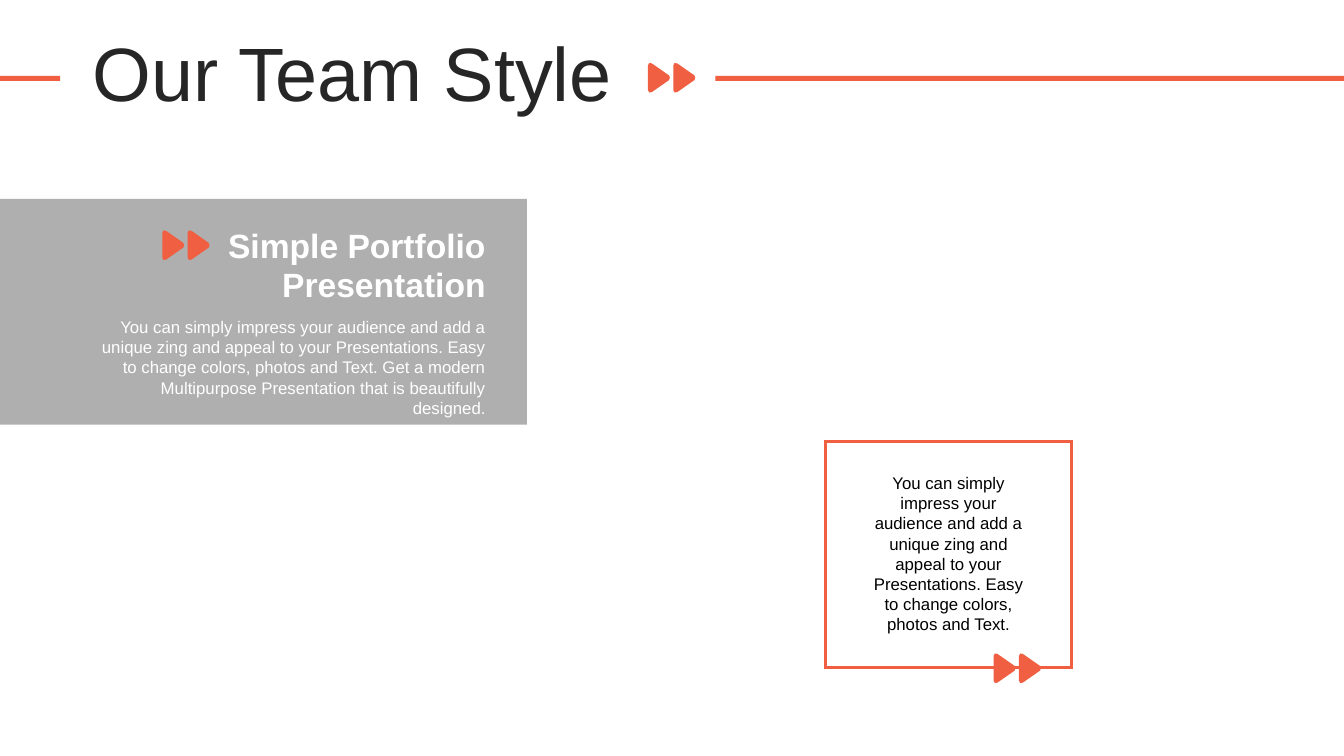
import lxml.etree
import pptx
import pptx.dml.color
import pptx.enum.shapes
import pptx.enum.text
import pptx.oxml.ns
import pptx.util

Cm = pptx.util.Cm
Pt = pptx.util.Pt
qn = pptx.oxml.ns.qn
ALIGN = pptx.enum.text.PP_ALIGN
ANCHOR = pptx.enum.text.MSO_ANCHOR
AUTO_SIZE = pptx.enum.text.MSO_AUTO_SIZE

ORANGE = "F05F41"
GRAY = "AFAFAF"
WHITE = "FFFFFF"
BLACK = "000000"
CHARCOAL = "262626"

# Rounded triangle in cm: each corner is a cubic curve, joined by straight sides
TRIANGLE_CORNERS = [
    [(0.10, 0.74), (0.05, 0.78), (0, 0.75), (0, 0.69)],
    [(0, 0.07), (0, 0.01), (0.05, -0.02), (0.10, 0.02)],
    [(0.53, 0.32), (0.56, 0.34), (0.56, 0.42), (0.53, 0.44)],
]
TRIANGLE_STEP = 0.64


def color(value):
    return pptx.dml.color.RGBColor.from_string(value)


def paint(shape, fill=None, line=None):
    shape.shadow.inherit = False
    if fill:
        shape.fill.solid()
        shape.fill.fore_color.rgb = color(fill)
    else:
        shape.fill.background()
    if line:
        shape.line.color.rgb = color(line)
        shape.line.width = Pt(2)
        # Square corners on the outline
        outline = shape.element.spPr.find(qn("a:ln"))
        lxml.etree.SubElement(outline, qn("a:miter")).set("lim", "800000")
    else:
        shape.line.fill.background()


def add_rectangle(page, left, top, width, height, fill=None, line=None):
    box = page.shapes.add_shape(
        pptx.enum.shapes.MSO_SHAPE.RECTANGLE, Cm(left), Cm(top), Cm(width), Cm(height))
    paint(box, fill, line)


def round_corners(shape):
    """Turn the three segments of each corner into one cubic curve."""
    segments = list(shape.element.iter(qn("a:lnTo")))
    for start in range(0, len(segments), 4):
        first, *others = segments[start:start + 3]
        curve = lxml.etree.Element(qn("a:cubicBezTo"))
        first.addprevious(curve)
        for segment in (first, *others):
            curve.append(segment[0])
            segment.getparent().remove(segment)


def add_double_arrow(page, left, top):
    """Two rounded triangles side by side, pointing right."""
    group = page.shapes.add_group_shape()
    for index in range(2):
        points = [(Cm(left + index * TRIANGLE_STEP + x), Cm(top + y))
                  for corner in TRIANGLE_CORNERS for x, y in corner]
        builder = group.shapes.build_freeform(*points[0])
        builder.add_line_segments(points[1:], close=True)
        triangle = builder.convert_to_shape()
        round_corners(triangle)
        paint(triangle, ORANGE)


def add_text(page, left, top, width, height, lines, size, ink, align=ALIGN.LEFT,
             bold=False, anchor=ANCHOR.TOP, line_spacing=None, gap=0, grow=False):
    box = page.shapes.add_textbox(Cm(left), Cm(top), Cm(width), Cm(height))
    frame = box.text_frame
    frame.word_wrap = True
    frame.vertical_anchor = anchor
    frame.auto_size = AUTO_SIZE.SHAPE_TO_FIT_TEXT if grow else AUTO_SIZE.NONE
    frame.text = "\n".join(lines)
    for index, para in enumerate(frame.paragraphs):
        para.alignment = align
        para.line_spacing = line_spacing
        if index:
            para.space_before = Pt(gap)
        for span in para.runs:
            span.font.name = "Arial"
            span.font.size = Pt(size)
            span.font.bold = bold
            span.font.color.rgb = color(ink)


def main():
    deck = pptx.Presentation()
    deck.slide_width = Cm(33.87)
    deck.slide_height = Cm(19.05)
    page = deck.slides.add_slide(deck.slide_layouts[6])

    # Title band
    add_double_arrow(page, 16.33, 1.58)
    add_rectangle(page, 18.03, 1.91, 15.84, 0.13, fill=ORANGE)
    add_rectangle(page, 0, 1.91, 1.52, 0.13, fill=ORANGE)
    add_text(page, 2.08, 0.94, 30.99, 2.01, ["Our Team Style"], 54, CHARCOAL,
             anchor=ANCHOR.MIDDLE, line_spacing=0.9)

    # Gray panel
    add_rectangle(page, 0, 5.01, 13.28, 5.69, fill=GRAY)
    add_text(page, 2.08, 5.57, 10.41, 2.39, ["Simple Portfolio", "Presentation"], 24, WHITE,
             align=ALIGN.RIGHT, bold=True, anchor=ANCHOR.MIDDLE, line_spacing=0.8, gap=4.8)
    add_text(page, 2.08, 7.86, 10.41, 2.31, [
        "You can simply impress your audience and add a unique zing and appeal to your "
        "Presentations. Easy to change colors, photos and Text. Get a modern "
        "Multipurpose Presentation that is beautifully designed."],
        12, WHITE, align=ALIGN.RIGHT, grow=True)
    add_double_arrow(page, 4.09, 5.8)

    # Outlined box
    add_rectangle(page, 20.8, 11.13, 6.2, 5.69, line=ORANGE)
    add_text(page, 21.62, 11.79, 4.57, 4.37, [
        "You can simply impress your audience and add a unique zing and appeal to your "
        "Presentations. Easy to change colors, photos and Text."],
        12, BLACK, align=ALIGN.CENTER, grow=True)
    add_double_arrow(page, 25.04, 16.46)

    deck.save("out.pptx")


if __name__ == "__main__":
    main()
